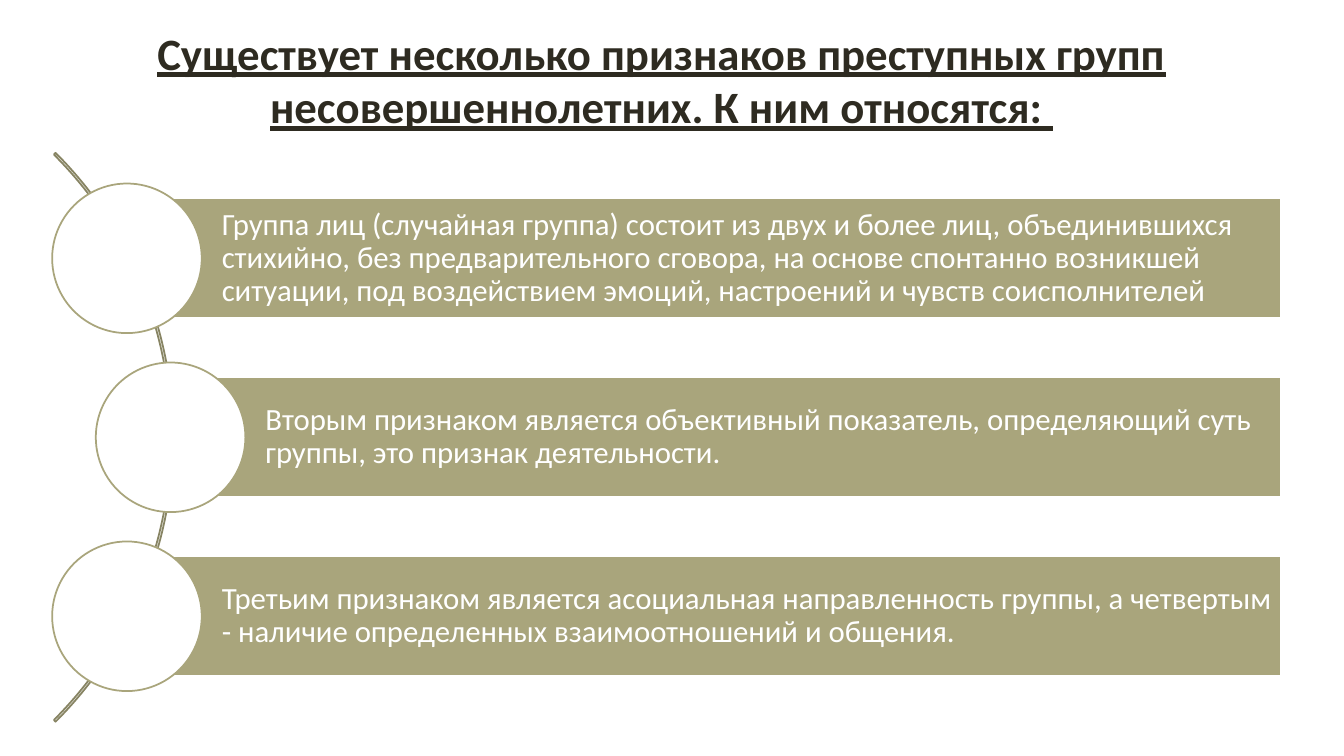
import dataclasses

import pptx
import pptx.dml.color
import pptx.enum.shapes
import pptx.enum.text
import pptx.util

Cm, Pt = pptx.util.Cm, pptx.util.Pt
RGB = pptx.dml.color.RGBColor.from_string
Kind = pptx.enum.shapes.MSO_SHAPE
Align = pptx.enum.text.PP_ALIGN
Anchor = pptx.enum.text.MSO_ANCHOR

TITLE = ("Существует несколько признаков преступных групп "
         "несовершеннолетних. К ним относятся: ")
# Left edge of each bar in cm, then its text
SIGNS = [
    (3.2, "Группа лиц (случайная группа) состоит из двух и более лиц, "
          "объединившихся стихийно, без предварительного сговора, на основе "
          "спонтанно возникшей ситуации, под воздействием эмоций, настроений "
          "и чувств соисполнителей"),
    (4.3, "Вторым признаком является объективный показатель, определяющий "
          "суть группы, это признак деятельности."),
    (3.2, "Третьим признаком является асоциальная направленность группы, "
          "а четвертым - наличие определенных взаимоотношений и общения."),
]
RIGHT, TOP, STEP, HIGH = 32.28, 5.0, 4.51, 3.02
DISC, ARC, ARC_LEFT = 3.77, 20.27, -15.9


@dataclasses.dataclass(frozen=True)
class Theme:
    font: str = "Calibri"
    dark: str = "2E2B21"
    olive: str = "A9A57C"
    moss: str = "878463"
    white: str = "FFFFFF"
    head: int = 32
    text: int = 22
    line: float = 1.25


def assign(target, values):
    for name, value in values.items():
        setattr(target, name, value)


class Page:
    def __init__(self, deck, theme):
        self.theme = theme
        self.slide = deck.slides.add_slide(deck.slide_layouts[5])

    def label(self, shape, text, frame, para, font):
        box = shape.text_frame
        box.text = text
        first = box.paragraphs[0]
        assign(box, {"word_wrap": True, **frame})
        assign(first, {"space_before": Pt(0), **para})
        run = first.runs[0].font
        assign(run, {"name": self.theme.font, "size": Pt(font["size"]),
                     "bold": font["bold"], "underline": font["bold"]})
        run.color.rgb = RGB(font["color"])

    def title(self, text, left, top, width, height):
        shape = self.slide.shapes.title
        assign(shape, {"left": Cm(left), "top": Cm(top),
                       "width": Cm(width), "height": Cm(height)})
        self.label(shape, text,
                   {"vertical_anchor": Anchor.TOP,
                    "auto_size": pptx.enum.text.MSO_AUTO_SIZE.NONE},
                   {"alignment": Align.CENTER},
                   {"size": self.theme.head, "bold": True,
                    "color": self.theme.dark})

    def shape(self, kind, left, top, width, height, line, fill=None):
        item = self.slide.shapes.add_shape(
            kind, Cm(left), Cm(top), Cm(width), Cm(height))
        item.shadow.inherit = False
        if fill:
            item.fill.solid()
            item.fill.fore_color.rgb = RGB(fill)
        else:
            item.fill.background()
        item.line.color.rgb = RGB(line)
        item.line.width = Pt(self.theme.line)
        return item

    def arc(self, left, mid, size):
        item = self.shape(Kind.BLOCK_ARC, left, mid - size / 2, size, size,
                          self.theme.moss)
        for index, value in enumerate((189, 27, 0.003)):
            item.adjustments[index] = value

    def bar(self, text, left, top, width, height):
        item = self.shape(Kind.RECTANGLE, left, top, width, height,
                          self.theme.white, self.theme.olive)
        pad = Cm(0.15)
        self.label(item, text,
                   {"vertical_anchor": Anchor.MIDDLE, "margin_left": Cm(2.39),
                    "margin_right": pad, "margin_top": pad,
                    "margin_bottom": pad},
                   {"alignment": Align.LEFT, "line_spacing": 0.9},
                   {"size": self.theme.text, "bold": False,
                    "color": self.theme.white})

    def disc(self, x, y, size):
        """Draw a circle centred on x, y."""
        self.shape(Kind.OVAL, x - size / 2, y - size / 2, size, size,
                   self.theme.olive, self.theme.white)


def main():
    deck = pptx.Presentation()
    assign(deck, {"slide_width": Cm(33.87), "slide_height": Cm(19.05)})
    page = Page(deck, Theme())
    page.title(TITLE, 0.61, 0.51, 32.13, 3.0)
    page.arc(ARC_LEFT, TOP + STEP + HIGH / 2, ARC)
    for row, (left, text) in enumerate(SIGNS):
        top = TOP + row * STEP
        page.bar(text, left, top, RIGHT - left, HIGH)
        page.disc(left, top + HIGH / 2, DISC)
    deck.save("out.pptx")


if __name__ == "__main__":
    main()
